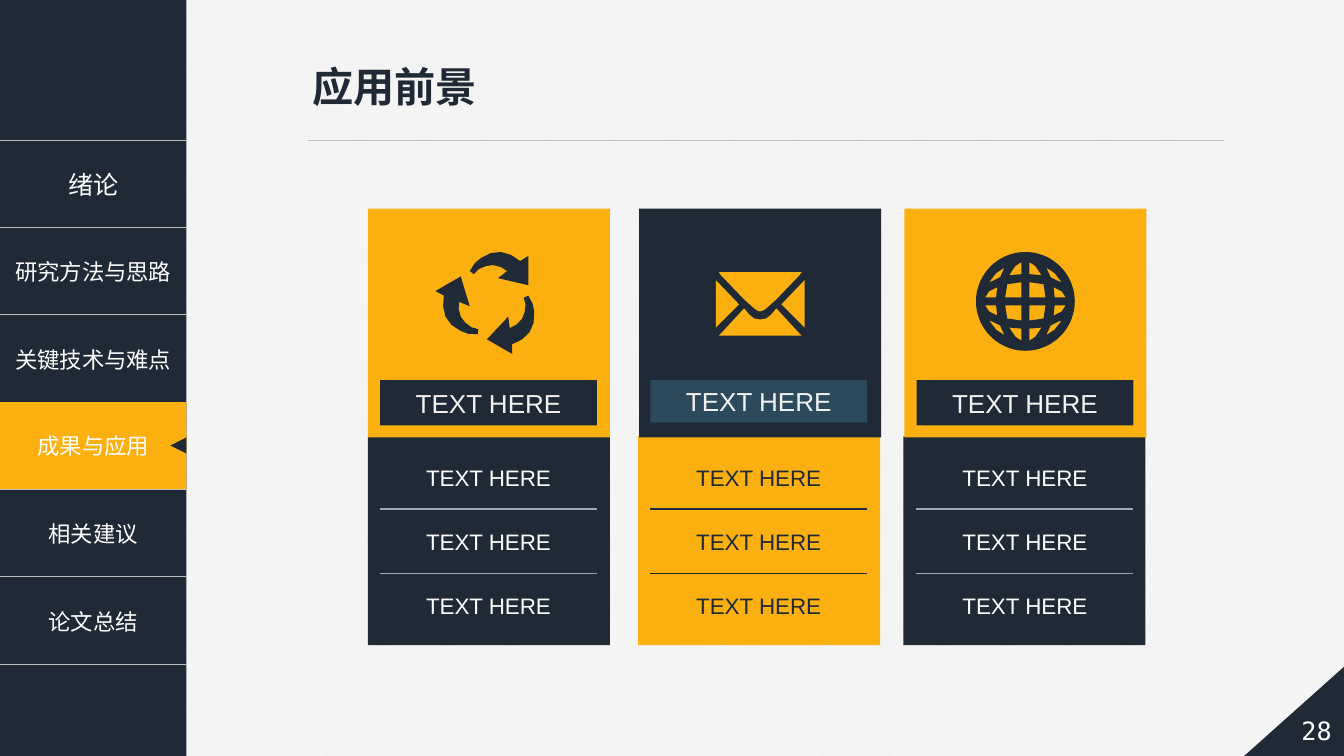
import math
from dataclasses import dataclass

import pptx
import pptx.dml.color
import pptx.enum.dml
import pptx.enum.shapes
import pptx.enum.text
import pptx.oxml
import pptx.oxml.ns
import pptx.util
from pptx.util import Inches

SHAPE = pptx.enum.shapes.MSO_SHAPE
ALIGN = pptx.enum.text.PP_ALIGN
NAVY, AMBER, WHITE, PALE, GREY = "202A36", "FCB00F", "FFFFFF", "F2F2F2", "BFBFBF"
CJK = "Noto Sans CJK SC"
UNITS = 1000  # freeform units per inch, as freeform points are whole numbers
Points = list[tuple[float, float]]


@dataclass
class Card:
    top_left: float
    body_left: float
    text_left: float
    top_fill: str
    body_fill: str
    text_color: str
    rule_color: str
    label_fill: str
    label_height: float = 0.45
    label_alpha: int = 100


CARDS = [
    Card(3.65, 3.65, 3.77, AMBER, NAVY, WHITE, "9DA8B1", NAVY),
    Card(6.34, 6.33, 6.45, NAVY, AMBER, NAVY, NAVY, "5ECCF3", 0.42, 20),
    Card(8.97, 8.96, 9.09, AMBER, NAVY, WHITE, "9DA8B1", NAVY),
]
CHAPTERS = ["绪论", "研究方法与思路", "关键技术与难点", "成果与应用", "相关建议", "论文总结"]
CURRENT = 3
ROW_H = 5.2 / len(CHAPTERS)
MENU_TOP, MENU_W = 1.39, 1.85


def rgb(color: str) -> pptx.dml.color.RGBColor:
    return pptx.dml.color.RGBColor.from_string(color)


def sub(parent, tag: str, **attrs: str):
    el = pptx.oxml.parse_xml(f"<a:{tag} {pptx.oxml.ns.nsdecls('a')}/>")
    for name, value in attrs.items():
        el.set(name, value)
    parent.append(el)
    return el


def write(tf, text: str, size: float, color: str, font: str = "Arial",
          align=ALIGN.CENTER, bold: bool = False) -> None:
    tf.text = text
    p = tf.paragraphs[0]
    p.alignment = align
    r = p.runs[0]
    r.font.size, r.font.bold, r.font.name = pptx.util.Pt(size), bold, font
    r.font.color.rgb = rgb(color)
    sub(r.font._element, "ea", typeface=CJK)


def paint(sp, fill: str | None, alpha: int = 100) -> None:
    sp.shadow.inherit = False
    sp.line.fill.background()
    if fill is None:
        sp.fill.background()
        return
    sp.fill.solid()
    sp.fill.fore_color.rgb = rgb(fill)
    if alpha < 100:
        clr = sp.fill._xPr.find(".//" + pptx.oxml.ns.qn("a:srgbClr"))
        sub(clr, "alpha", val=str(alpha * 1000))


def add_box(s, x: float, y: float, w: float, h: float, fill: str | None,
            kind=SHAPE.RECTANGLE, alpha: int = 100, flip: bool = False):
    sp = s.shapes.add_shape(kind, Inches(x), Inches(y), Inches(w), Inches(h))
    paint(sp, fill, alpha)
    if flip:
        sp._element.spPr.xfrm.set("flipH", "1")
    sp.text_frame.vertical_anchor = pptx.enum.text.MSO_ANCHOR.MIDDLE
    return sp


def add_text(s, x: float, y: float, w: float, h: float, wrap: bool = True):
    tf = s.shapes.add_textbox(Inches(x), Inches(y), Inches(w), Inches(h)).text_frame
    tf.word_wrap = wrap
    tf.vertical_anchor = pptx.enum.text.MSO_ANCHOR.MIDDLE
    return tf


def add_rule(s, x: float, y: float, w: float, color: str, width: float) -> None:
    ln = s.shapes.add_connector(pptx.enum.shapes.MSO_CONNECTOR.STRAIGHT,
                                Inches(x), Inches(y), Inches(x + w), Inches(y))
    ln.line.color.rgb = rgb(color)
    ln.line.width = pptx.util.Pt(width)
    sub(ln._element.spPr, "effectLst")


def add_icon(s, outlines: list[Points], fill: str) -> None:
    scaled = [[(round(x * UNITS), round(y * UNITS)) for x, y in pts] for pts in outlines]
    fb = s.shapes.build_freeform(*scaled[0][0], scale=Inches(1) / UNITS)
    for i, pts in enumerate(scaled):
        if i:
            fb.move_to(*pts[0])
        fb.add_line_segments(pts[1:], close=True)
    paint(fb.convert_to_shape(), fill)


def recycle_outlines() -> list[Points]:
    cx, cy = 4.88, 2.98
    arrow = [(5.24, 2.83), (5.24, 2.54), (5.16, 2.59), (5.07, 2.53), (4.97, 2.5),
             (4.87, 2.51), (4.77, 2.56), (4.71, 2.61), (4.66, 2.69), (4.7, 2.72),
             (4.75, 2.67), (4.82, 2.64), (4.89, 2.63), (4.97, 2.65), (5.03, 2.69),
             (4.94, 2.76)]
    outlines = []
    for k in range(3):
        c, d = math.cos(k * math.tau / 3), math.sin(k * math.tau / 3)
        outlines.append([(cx + (x - cx) * c - (y - cy) * d,
                          cy + (x - cx) * d + (y - cy) * c) for x, y in arrow])
    return outlines


def envelope_outlines() -> list[Points]:
    cx = 7.54
    side = [(7.1, 2.78), (7.1, 3.25), (7.33, 3.02)]
    flap = [(7.13, 2.7), (7.15, 2.73), (7.38, 2.97), (7.48, 3.06), (7.51, 3.08), (cx, 3.09)]
    base = [(7.13, 3.33), (7.15, 3.31), (7.38, 3.06), (7.43, 3.12), (7.48, 3.16), (cx, 3.17)]

    def mirror(pts: Points) -> Points:
        return [(2 * cx - x, y) for x, y in pts]

    return [side, mirror(side)] + [half + mirror(half)[-2::-1] for half in (flap, base)]


def globe_outlines() -> list[Points]:
    cx, cy, radius, steps = 10.17, 2.99, 0.49, 72
    quarter = [
        [(0.04, 0.39), (0.1, 0.35), (0.14, 0.29), (0.16, 0.26), (0.04, 0.27)],
        [(0.04, 0.19), (0.18, 0.17), (0.2, 0.04), (0.04, 0.04)],
        [(0.4, 0.04), (0.29, 0.04), (0.28, 0.14), (0.3, 0.13), (0.36, 0.1)],
        [(0.36, 0.19), (0.33, 0.2), (0.25, 0.24), (0.21, 0.33), (0.2, 0.34), (0.29, 0.28)],
    ]
    disc = [(cx + radius * math.cos(i * math.tau / steps),
             cy + radius * math.sin(i * math.tau / steps)) for i in range(steps)]
    return [disc] + [[(cx + sx * x, cy + sy * y) for x, y in cell]
                     for sx in (-1, 1) for sy in (-1, 1) for cell in quarter]


def add_menu(s) -> None:
    add_box(s, 0, 0, MENU_W, 7.5, NAVY)
    tbl = s.shapes.add_table(len(CHAPTERS), 1, 0, Inches(MENU_TOP), Inches(MENU_W),
                             Inches(5.2)).table
    tbl.first_row = tbl.horz_banding = False
    for i, chapter in enumerate(CHAPTERS):
        tbl.rows[i].height = Inches(ROW_H)
        cell = tbl.cell(i, 0)
        cell.vertical_anchor = pptx.enum.text.MSO_ANCHOR.MIDDLE
        write(cell.text_frame, chapter, 16 if i else 18, WHITE, CJK)
        pr = cell._tc.get_or_add_tcPr()
        for side in ("lnL", "lnR"):
            sub(sub(pr, side, w="0"), "noFill")
        for side in ("lnT", "lnB"):
            sub(sub(sub(pr, side, w="12700"), "solidFill"), "srgbClr", val=GREY)
        cell.fill.background()

    # Current chapter with its pointer
    y = MENU_TOP + CURRENT * ROW_H
    sp = add_box(s, 0, y, MENU_W, 0.86, AMBER)
    write(sp.text_frame, CHAPTERS[CURRENT], 16, WHITE, CJK)
    add_box(s, 1.69, 4.34, 0.16, 0.16, NAVY, SHAPE.ISOSCELES_TRIANGLE).rotation = 270


def add_card(s, card: Card) -> None:
    text_w = 2.15
    add_box(s, card.body_left, 4.33, 2.4, 2.07, card.body_fill)
    for y in (4.55, 5.19, 5.82):
        write(add_text(s, card.text_left, y, text_w, 0.37), "TEXT HERE", 16, card.text_color)
    for y in (5.05, 5.69):
        add_rule(s, card.text_left, y, text_w, card.rule_color, 1)
    add_box(s, card.top_left, 2.07, 2.4, 2.27, card.top_fill)
    label = add_box(s, card.text_left, 3.77, text_w, card.label_height,
                    card.label_fill, alpha=card.label_alpha)
    write(label.text_frame, "TEXT HERE", 18.6, PALE)


def main() -> None:
    prs = pptx.Presentation()
    prs.slide_width, prs.slide_height = Inches(13.33), Inches(7.5)
    s = prs.slides.add_slide(prs.slide_layouts[6])
    bg = s.background.fill
    bg.patterned()
    bg.pattern = pptx.enum.dml.MSO_PATTERN.LIGHT_UPWARD_DIAGONAL
    bg.fore_color.rgb, bg.back_color.rgb = rgb(WHITE), rgb(PALE)

    # Sidebar, title rule and page number
    add_menu(s)
    add_rule(s, 3.05, 1.39, 9.09, GREY, 0.5)
    add_box(s, 12.33, 6.58, 1.04, 0.93, NAVY, SHAPE.RIGHT_TRIANGLE, flip=True)
    page = add_box(s, 12.45, 6.97, 1.08, 0.55, None, SHAPE.PENTAGON, flip=True)
    write(page.text_frame, "28", 18, WHITE, "DejaVu Sans Mono")

    # Cards and icons
    for card in CARDS:
        add_card(s, card)
    add_icon(s, recycle_outlines(), NAVY)
    add_icon(s, envelope_outlines(), AMBER)
    add_icon(s, globe_outlines(), NAVY)

    # Title
    write(add_text(s, 3, 0.56, 1.85, 0.59, wrap=False), "应用前景", 29.4, NAVY,
          align=ALIGN.LEFT, bold=True)
    prs.save("out.pptx")


if __name__ == "__main__":
    main()
